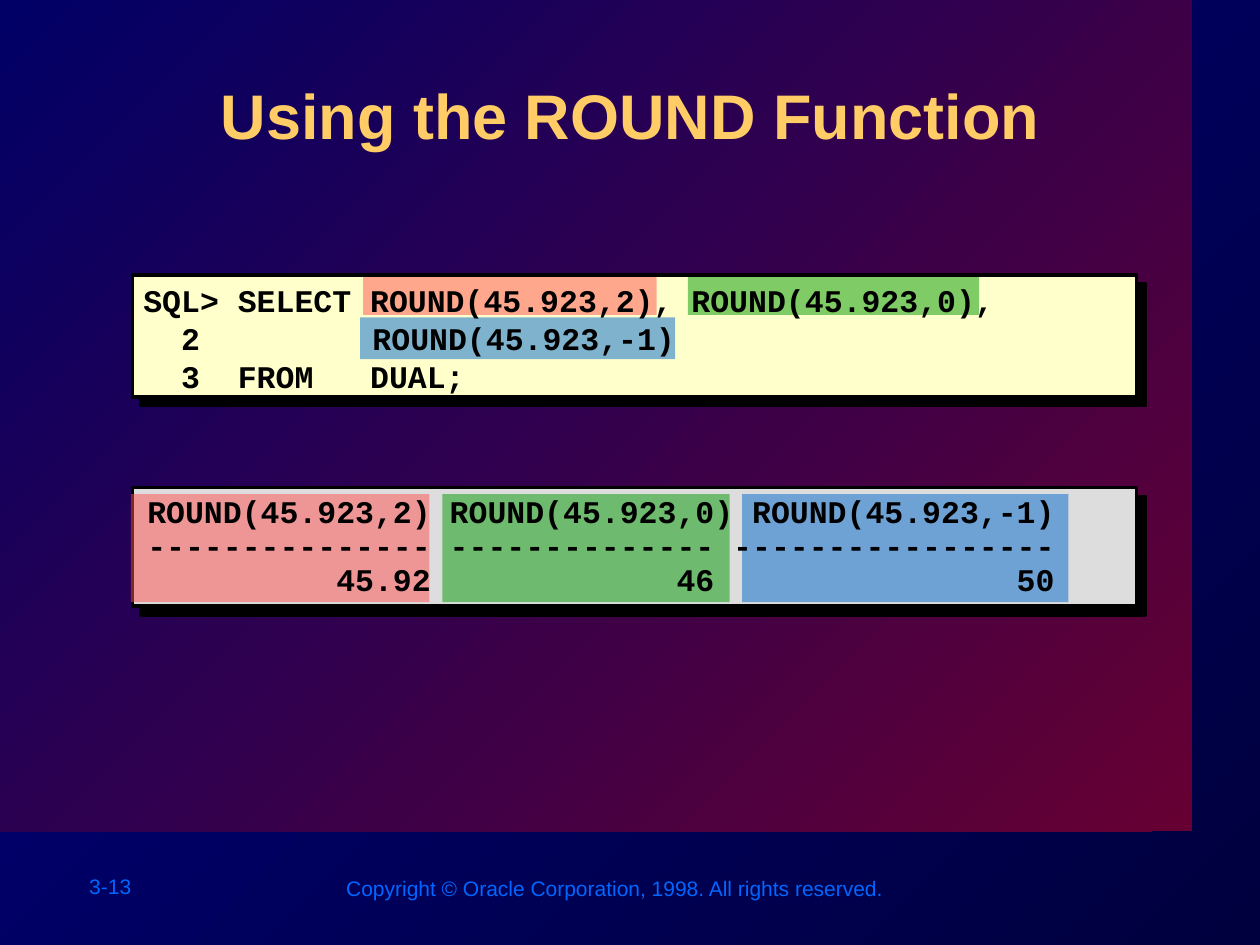
from dataclasses import dataclass

from lxml.etree import SubElement
from pptx import Presentation
from pptx.dml.color import RGBColor
from pptx.dml.fill import FillFormat
from pptx.enum.shapes import MSO_SHAPE
from pptx.enum.text import MSO_ANCHOR, PP_ALIGN
from pptx.oxml import parse_xml
from pptx.oxml.ns import nsdecls, qn
from pptx.util import Cm, Pt

BLACK = RGBColor(0x00, 0x00, 0x00)
NIGHT = RGBColor(0x00, 0x00, 0x3F)
NAVY = RGBColor(0x00, 0x00, 0x80)
INDIGO = RGBColor(0x00, 0x00, 0x66)
WINE = RGBColor(0x66, 0x00, 0x33)
GOLD = RGBColor(0xFF, 0xCC, 0x66)
FOOTER_BLUE = RGBColor(0x00, 0x66, 0xFF)
CREAM = RGBColor(0xFF, 0xFF, 0xCC)
GREY = RGBColor(0xDD, 0xDD, 0xDD)
RED = RGBColor(0xFF, 0x50, 0x50)
GREEN = RGBColor(0x00, 0x99, 0x00)
BLUE = RGBColor(0x00, 0x66, 0xCC)

TITLE_FORMAT = {"name": "Arial", "size": Pt(36), "bold": True}
FOOTER_FORMAT = {"name": "Arial", "size": Pt(12), "bold": False}
CODE_FORMAT = {"name": "Courier New", "size": Pt(18), "bold": True}
CODE_TABS = (Cm(3.33), Cm(4.62))


@dataclass(frozen=True)
class Box:
    """A rectangle in centimetres."""
    left: float
    top: float
    width: float
    height: float

    def lengths(self) -> tuple:
        return Cm(self.left), Cm(self.top), Cm(self.width), Cm(self.height)


@dataclass(frozen=True)
class Panel:
    box: Box
    color: RGBColor


@dataclass(frozen=True)
class Highlight:
    """One colour marking a call in the query and its result column."""
    color: RGBColor
    result: Box
    query: Box


@dataclass(frozen=True)
class TextBlock:
    box: Box
    lines: tuple[str, ...]
    font: dict
    color: RGBColor
    anchor: MSO_ANCHOR = MSO_ANCHOR.TOP
    line_spacing: float = 1.0


RESULT_TOP, RESULT_HEIGHT = 9.96, 2.18

PANELS = (
    Panel(Box(2.67, 9.83, 20.24, 2.39), GREY),
    Panel(Box(2.67, 5.54, 20.24, 2.46), CREAM),
)
HIGHLIGHTS = (
    Highlight(RED, Box(2.64, RESULT_TOP, 6.02, RESULT_HEIGHT), Box(7.32, 5.59, 5.92, 0.76)),
    Highlight(GREEN, Box(8.92, RESULT_TOP, 5.79, RESULT_HEIGHT), Box(13.87, 5.59, 5.87, 0.76)),
    Highlight(BLUE, Box(14.96, RESULT_TOP, 6.58, RESULT_HEIGHT), Box(7.26, 6.4, 6.35, 0.84)),
)
TEXT_BLOCKS = (
    TextBlock(Box(1.55, 17.48, 2.82, 0.76), ("3-13",), FOOTER_FORMAT, FOOTER_BLUE),
    TextBlock(
        Box(6.73, 17.53, 11.38, 0.76),
        ("Copyright © Oracle Corporation, 1998. All rights reserved.",),
        FOOTER_FORMAT, FOOTER_BLUE,
    ),
    TextBlock(
        Box(2.64, 4.62, 20.32, 4.39),
        ("SQL> SELECT ROUND(45.923,2), ROUND(45.923,0),",
         "  2  \t\tROUND(45.923,-1)",
         "  3  FROM   DUAL;"),
        CODE_FORMAT, BLACK, anchor=MSO_ANCHOR.MIDDLE,
    ),
    TextBlock(
        Box(2.72, 9.88, 20.17, 2.31),
        ("ROUND(45.923,2) ROUND(45.923,0) ROUND(45.923,-1)",
         "--------------- -------------- -----------------",
         "          45.92             46                50"),
        CODE_FORMAT, BLACK, line_spacing=0.9,
    ),
)


def set_gradient(fill: FillFormat, start: RGBColor, end: RGBColor) -> None:
    """Run the gradient from bottom right to top left."""
    fill.gradient()
    fill.gradient_angle = 135
    for stop, color, position in zip(fill.gradient_stops, (start, end), (0, 1)):
        stop.color.rgb = color
        stop.position = position


def shadow_effect(distance: Pt):
    return parse_xml(
        f'<a:effectLst {nsdecls("a")}><a:outerShdw dist="{int(distance)}" dir="2700000" '
        'algn="ctr" rotWithShape="0"><a:srgbClr val="000000"/></a:outerShdw></a:effectLst>'
    )


def add_rectangle(shapes, box: Box):
    shape = shapes.add_shape(MSO_SHAPE.RECTANGLE, *box.lengths())
    shape.shadow.inherit = False
    shape.line.fill.background()
    return shape


def add_panel(shapes, panel: Panel) -> None:
    shape = add_rectangle(shapes, panel.box)
    shape.fill.solid()
    shape.fill.fore_color.rgb = panel.color
    shape.line.color.rgb = BLACK
    shape.line.width = Pt(2)
    properties = shape._element.spPr
    properties.replace(properties.find(qn("a:effectLst")), shadow_effect(Pt(7.1)))


def add_highlight(shapes, highlight: Highlight) -> None:
    group = shapes.add_group_shape()
    for box in (highlight.result, highlight.query):
        shape = add_rectangle(group.shapes, box)
        shape.fill.solid()
        shape.fill.fore_color.rgb = highlight.color
        color = shape._element.spPr.find(qn("a:solidFill"))[0]
        SubElement(color, qn("a:alpha"), val="50000")


def format_font(font, values: dict, color: RGBColor) -> None:
    for name, value in values.items():
        setattr(font, name, value)
    font.color.rgb = color


def add_text(shapes, block: TextBlock) -> None:
    frame = shapes.add_textbox(*block.box.lengths()).text_frame
    frame.word_wrap = True
    frame.vertical_anchor = block.anchor
    for index, line in enumerate(block.lines):
        paragraph = frame.add_paragraph() if index else frame.paragraphs[0]
        paragraph.line_spacing = block.line_spacing
        if "\t" in line:
            tabs = SubElement(paragraph._p.get_or_add_pPr(), qn("a:tabLst"))
            for position in CODE_TABS:
                SubElement(tabs, qn("a:tab"), pos=str(int(position)), algn="l")
        run = paragraph.add_run()
        run.text = line
        format_font(run.font, block.font, block.color)


def set_title(title, text: str) -> None:
    title.left, title.top, title.width, title.height = Box(2.57, 1.42, 20.27, 2.44).lengths()
    frame = title.text_frame
    frame.vertical_anchor = MSO_ANCHOR.TOP
    paragraph = frame.paragraphs[0]
    paragraph.alignment = PP_ALIGN.CENTER
    run = paragraph.add_run()
    run.text = text
    format_font(run.font, TITLE_FORMAT, GOLD)
    run.font._element.find(qn("a:solidFill")).addnext(shadow_effect(Pt(4)))


def main() -> None:
    presentation = Presentation()
    presentation.slide_width, presentation.slide_height = Cm(25.4), Cm(19.05)
    slide = presentation.slides.add_slide(presentation.slide_layouts[5])
    set_gradient(slide.background.fill, NIGHT, NAVY)
    backdrop = add_rectangle(slide.shapes, Box(0, 0, 24.03, 16.76))
    set_gradient(backdrop.fill, WINE, INDIGO)
    # The title comes before the backdrop in a new slide, so bring it forward.
    backdrop._element.addnext(slide.shapes.title._element)
    set_title(slide.shapes.title, "Using the ROUND Function")
    for panel in PANELS:
        add_panel(slide.shapes, panel)
    for highlight in HIGHLIGHTS:
        add_highlight(slide.shapes, highlight)
    for block in TEXT_BLOCKS:
        add_text(slide.shapes, block)
    presentation.save("out.pptx")


if __name__ == "__main__":
    main()
